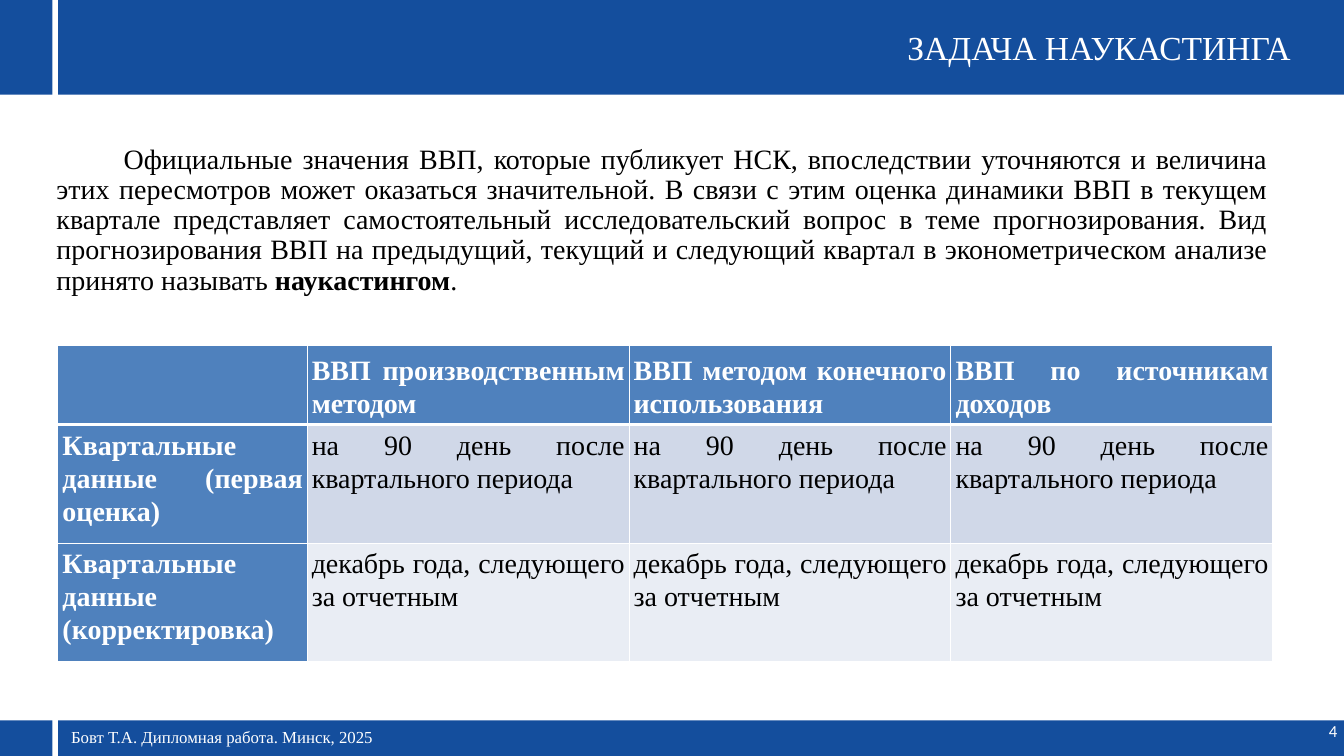
from lxml.etree import SubElement
from pptx import Presentation
from pptx.dml.color import RGBColor
from pptx.enum.shapes import MSO_SHAPE
from pptx.enum.text import MSO_ANCHOR, PP_ALIGN
from pptx.oxml.ns import qn
from pptx.util import Inches, Pt

BLUE = RGBColor(0x14, 0x4E, 0x9D)
WHITE = RGBColor(0xFF, 0xFF, 0xFF)
BLACK = RGBColor(0, 0, 0)
HEAD = RGBColor(0x4F, 0x81, 0xBD)
BANDS = [RGBColor(0xD0, 0xD8, 0xE8), RGBColor(0xE9, 0xED, 0xF4)]
SERIF = "Times New Roman"

DEFINITION = [
    ("Официальные значения ВВП, которые публикует НСК, впоследствии уточняются и величина "
     "этих пересмотров может оказаться значительной. В связи с этим оценка динамики ВВП в "
     "текущем квартале представляет самостоятельный исследовательский вопрос в теме "
     "прогнозирования. Вид прогнозирования ВВП на предыдущий, текущий и следующий квартал "
     "в эконометрическом анализе принято называть ", False),
    ("наукастингом", True),
    (".", False),
]
ROWS = [
    ["", "ВВП производственным методом", "ВВП методом конечного использования",
     "ВВП по источникам доходов"],
    ["Квартальные данные (первая оценка)"] + ["на 90 день после квартального периода"] * 3,
    ["Квартальные данные (корректировка)"] + ["декабрь года, следующего за отчетным"] * 3,
]


def add_bar(s, x, y, w, h, color):
    """Add a plain filled rectangle."""
    sp = s.shapes.add_shape(MSO_SHAPE.RECTANGLE, Inches(x), Inches(y), Inches(w), Inches(h))
    sp.shadow.inherit = False
    sp.fill.solid()
    sp.fill.fore_color.rgb = color
    sp.line.fill.background()


def style(p, size, color, align, spacing=None, font=SERIF, bold=None):
    """Set the alignment, line spacing and font of a paragraph."""
    p.alignment = align
    p.line_spacing = spacing
    p.font.name = font
    p.font.size = Pt(size)
    p.font.color.rgb = color
    p.font.bold = bold


def add_text(s, x, y, w, h, runs, inset=True):
    """Add a wrapping text box of (text, bold) runs and return its paragraph."""
    tf = s.shapes.add_textbox(Inches(x), Inches(y), Inches(w), Inches(h)).text_frame
    tf.word_wrap = True
    if not inset:
        tf.margin_left = tf.margin_top = tf.margin_right = tf.margin_bottom = 0
    p = tf.paragraphs[0]
    for text, bold in runs:
        r = p.add_run()
        r.text = text
        if bold:
            r.font.bold = True
    return p


def set_borders(cell, bottom):
    """Draw white cell borders, with the bottom one of the given width."""
    tcPr = cell._tc.get_or_add_tcPr()
    for tag, width in (("lnL", 1), ("lnR", 1), ("lnT", 1), ("lnB", bottom)):
        ln = SubElement(tcPr, qn(f"a:{tag}"), w=str(Pt(width)))
        fill = SubElement(ln, qn("a:solidFill"))
        SubElement(fill, qn("a:srgbClr"), val=str(WHITE))


def fill_cell(cell, text, row, col):
    """Write and format one cell as a heading or as banded body text."""
    heading = row == 0 or col == 0
    set_borders(cell, 3 if row == 0 else 1)
    cell.fill.solid()
    cell.fill.fore_color.rgb = HEAD if heading else BANDS[row - 1]
    cell.margin_left, cell.margin_right = Inches(0.07), Inches(0.06)
    cell.margin_top, cell.margin_bottom = Inches(0.05), 0
    cell.vertical_anchor = MSO_ANCHOR.MIDDLE if row == 0 else MSO_ANCHOR.TOP
    cell.text = text
    style(cell.text_frame.paragraphs[0], 30, WHITE if heading else BLACK,
          PP_ALIGN.JUSTIFY, 1.07, bold=heading)


def add_release_table(s):
    """Add the table of publication dates."""
    table = s.shapes.add_table(3, 4, Inches(0.86), Inches(5.14),
                               Inches(18.08), Inches(4.7)).table
    for column, width in zip(table.columns, [3.71, 4.79, 4.79, 4.79]):
        column.width = Inches(width)
    for row, height in zip(table.rows, [1.18, 1.76, 1.76]):
        row.height = Inches(height)
    for i, texts in enumerate(ROWS):
        for j, text in enumerate(texts):
            fill_cell(table.cell(i, j), text, i, j)


def main():
    """Build the slide and save it."""
    prs = Presentation()
    prs.slide_width, prs.slide_height = Inches(20), Inches(11.25)
    s = prs.slides.add_slide(prs.slide_layouts[6])

    add_bar(s, 0, 0, 20, 1.41, BLUE)
    add_bar(s, 0, 10.72, 20, 0.54, BLUE)
    add_bar(s, 0.78, 0, 0.08, 11.25, WHITE)

    p = add_text(s, 15.6, 10.72, 4.3, 0.47, [("4", False)], inset=False)
    style(p, 18, WHITE, PP_ALIGN.RIGHT, Pt(21.6), font="Calibri")
    p = add_text(s, 6.57, 0.4, 12.64, 0.61, [("ЗАДАЧА НАУКАСТИНГА", False)], inset=False)
    style(p, 36, WHITE, PP_ALIGN.RIGHT)

    add_release_table(s)

    p = add_text(s, 0.25, 2.15, 18.62, 2.24, DEFINITION, inset=False)
    pPr = p._p.get_or_add_pPr()
    pPr.set("marL", str(Inches(0.59)))
    pPr.set("indent", str(Inches(1)))
    style(p, 30, BLACK, PP_ALIGN.JUSTIFY, Pt(32.4))

    p = add_text(s, 0.96, 10.76, 10.03, 0.39,
                 [("Бовт Т.А. Дипломная работа. Минск, 2025", False)])
    style(p, 18, WHITE, PP_ALIGN.LEFT, Pt(21.6))

    prs.save("out.pptx")


if __name__ == "__main__":
    main()
